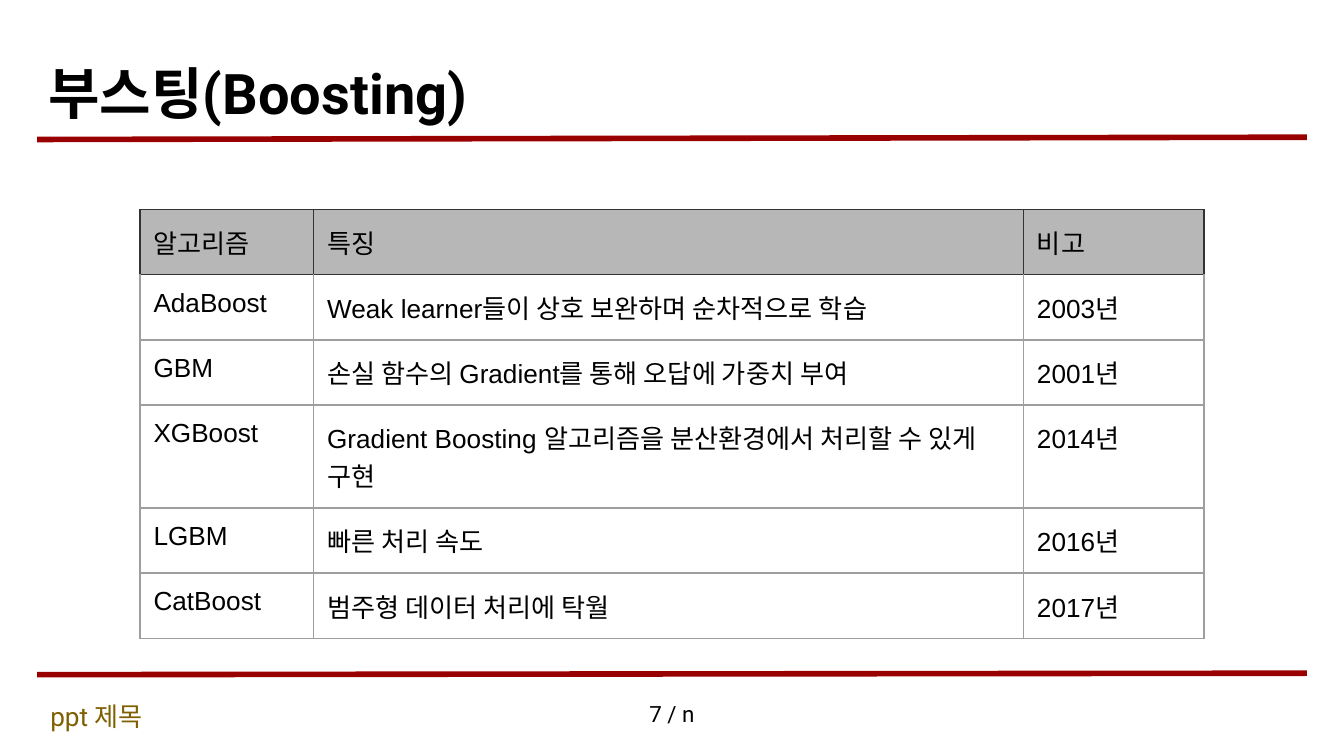
from dataclasses import dataclass

from lxml import etree
from pptx import Presentation
from pptx.dml.color import RGBColor
from pptx.enum.shapes import MSO_CONNECTOR
from pptx.enum.text import MSO_ANCHOR, MSO_AUTO_SIZE, PP_ALIGN
from pptx.oxml.ns import qn
from pptx.util import Inches, Pt

STRAIGHT = MSO_CONNECTOR.STRAIGHT
TOP, MIDDLE, BOTTOM = MSO_ANCHOR.TOP, MSO_ANCHOR.MIDDLE, MSO_ANCHOR.BOTTOM
LEFT, CENTER = PP_ALIGN.LEFT, PP_ALIGN.CENTER
FIXED_SIZE = MSO_AUTO_SIZE.NONE
TITLE_ONLY = 5

SLIDE_WIDTH = Inches(10)
SLIDE_HEIGHT = SLIDE_WIDTH * 9 // 16
INSET = Inches(0.1)
COLORS = {
    "text": "000000",
    "rule": "990000",
    "footer": "7F6000",
    "header": "B7B7B7",
    "header_border": "333333",
    "border": "9E9E9E",
}
COLUMN_SHARES = (12.92, 52.82, 13.43)
ROW_SHARE = 7.47
ROWS = (
    ("알고리즘", "특징", "비고"),
    ("AdaBoost", "Weak learner들이 상호 보완하며 순차적으로 학습", "2003년"),
    ("GBM", "손실 함수의 Gradient를 통해 오답에 가중치 부여", "2001년"),
    ("XGBoost", "Gradient Boosting 알고리즘을 분산환경에서 처리할 수 있게 구현", "2014년"),
    ("LGBM", "빠른 처리 속도", "2016년"),
    ("CatBoost", "범주형 데이터 처리에 탁월", "2017년"),
)


@dataclass(frozen=True)
class Frame:
    left: float
    top: float
    width: float
    height: float

    def lengths(self) -> tuple[int, int, int, int]:
        return across(self.left), down(self.top), across(self.width), down(self.height)


@dataclass(frozen=True)
class Rule:
    start: float
    end: float


@dataclass(frozen=True)
class Label:
    text: str
    frame: Frame
    size: int
    color: str = "text"
    bold: bool = False
    align: PP_ALIGN = LEFT
    anchor: MSO_ANCHOR = TOP


RULES = (Rule(18.45, 18.15), Rule(89.25, 89.05))
TITLE = Label("부스팅(Boosting)", Frame(2.6, 6.2, 90.8, 12.2), 30, bold=True, anchor=BOTTOM)
FOOTERS = (
    Label("ppt 제목", Frame(2.76, 90.85, 18, 6.94), 14, color="footer"),
    Label("7 / n", Frame(47, 90.57, 6, 7.65), 12, align=CENTER, anchor=MIDDLE),
)
TABLE_FRAME = Frame(10.42, 27.76, sum(COLUMN_SHARES), ROW_SHARE * len(ROWS))


def across(percent: float) -> int:
    return round(SLIDE_WIDTH * percent / 100)


def down(percent: float) -> int:
    return round(SLIDE_HEIGHT * percent / 100)


def rgb(name: str) -> RGBColor:
    return RGBColor.from_string(COLORS[name])


def format_paragraph(para, face: str, size: int, color: str, bold: bool = False) -> None:
    for span in para.runs:
        span.font.name, span.font.size, span.font.bold = face, Pt(size), bold
        span.font.color.rgb = rgb(color)


def set_east_asian_face(para, face: str) -> None:
    for span in para.runs:
        etree.SubElement(span.font._element, qn("a:ea"), typeface=face)


def set_insets(holder) -> None:
    holder.margin_left = holder.margin_right = INSET
    holder.margin_top = holder.margin_bottom = INSET


def fill_label(box, label: Label) -> None:
    box.left, box.top, box.width, box.height = label.frame.lengths()
    frame = box.text_frame
    frame.text = label.text
    frame.word_wrap = True
    frame.auto_size = FIXED_SIZE
    frame.vertical_anchor = label.anchor
    set_insets(frame)
    para = frame.paragraphs[0]
    para.alignment = label.align
    format_paragraph(para, "Roboto", label.size, label.color, label.bold)
    set_east_asian_face(para, "Roboto")


def draw_rule(page, rule: Rule) -> None:
    line = page.shapes.add_connector(
        STRAIGHT, across(2.76), down(rule.start), across(97.24), down(rule.end)
    )
    line.line.color.rgb = rgb("rule")
    line.line.width = Pt(3)
    etree.SubElement(line._element.spPr, qn("a:effectLst"))


def draw_border(cell, side: str, color: str) -> None:
    properties = cell._tc.get_or_add_tcPr()
    line = etree.SubElement(properties, qn(f"a:ln{side}"), w=str(Pt(0.75)))
    fill = etree.SubElement(line, qn("a:solidFill"))
    etree.SubElement(fill, qn("a:srgbClr"), val=COLORS[color])


def draw_cell(cell, text: str, row: int) -> None:
    cell.text = text
    set_insets(cell)
    cell.vertical_anchor = TOP
    format_paragraph(cell.text_frame.paragraphs[0], "Arial", 14, "text")
    for side in "LRTB":
        dark = row == 0 or (row == 1 and side == "T")
        draw_border(cell, side, "header_border" if dark else "border")
    if row == 0:
        cell.fill.solid()
        cell.fill.fore_color.rgb = rgb("header")
    else:
        cell.fill.background()


def draw_table(page) -> None:
    table = page.shapes.add_table(
        len(ROWS), len(COLUMN_SHARES), *TABLE_FRAME.lengths()
    ).table
    table.first_row = table.horz_banding = False
    for column, share in zip(table.columns, COLUMN_SHARES):
        column.width = across(share)
    for row, texts in enumerate(ROWS):
        table.rows[row].height = down(ROW_SHARE)
        for column, text in enumerate(texts):
            draw_cell(table.cell(row, column), text, row)


def main() -> None:
    deck = Presentation()
    deck.slide_width, deck.slide_height = SLIDE_WIDTH, SLIDE_HEIGHT
    page = deck.slides.add_slide(deck.slide_layouts[TITLE_ONLY])
    for rule in RULES:
        draw_rule(page, rule)
    fill_label(page.shapes.title, TITLE)
    for label in FOOTERS:
        fill_label(page.shapes.add_textbox(*label.frame.lengths()), label)
    draw_table(page)
    deck.save("out.pptx")


if __name__ == "__main__":
    main()
